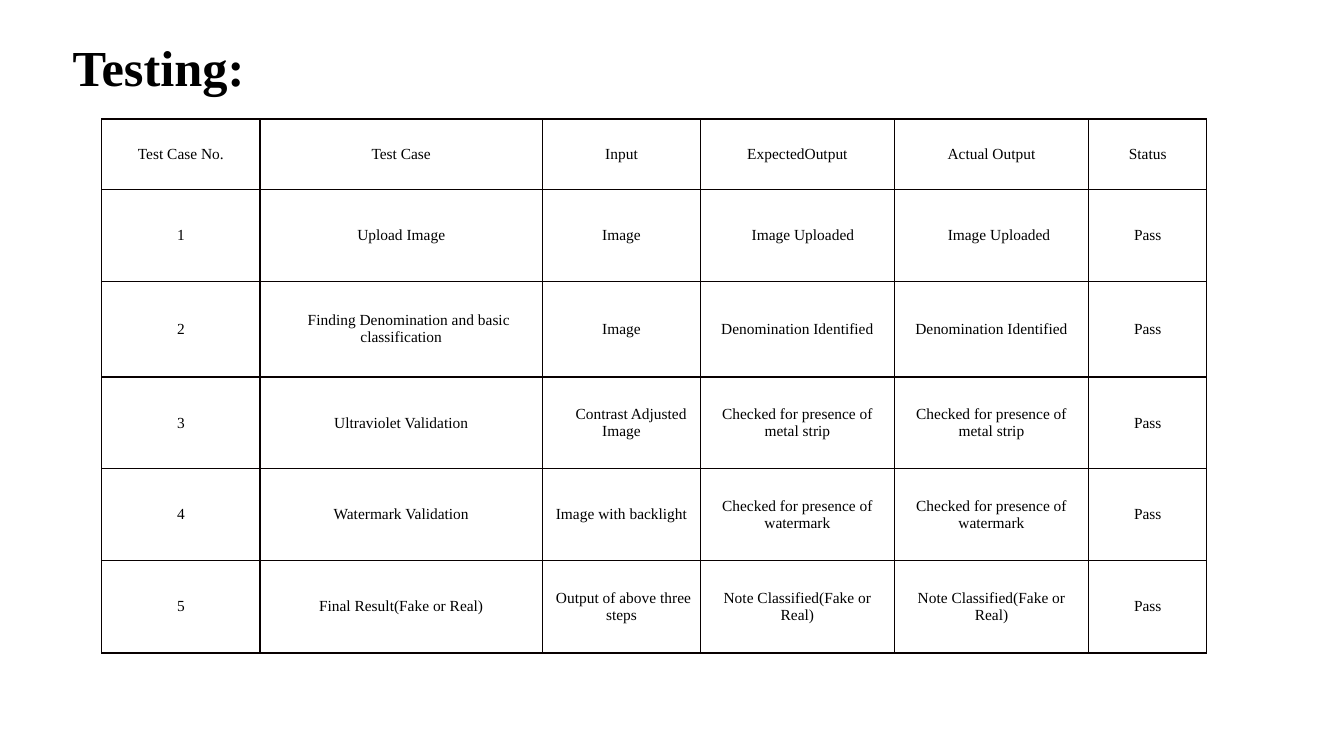
from lxml.etree import SubElement
from pptx import Presentation
from pptx.dml.color import RGBColor
from pptx.enum.text import MSO_ANCHOR, MSO_AUTO_SIZE, PP_ALIGN
from pptx.oxml.ns import qn
from pptx.util import Inches, Pt

BLACK = RGBColor(0, 0, 0)
EDGE = RGBColor(8, 0, 0)
FONT = "Times New Roman"
COLS = (1.57, 2.8, 1.57, 1.92, 1.93, 1.17)
ROWS = (0.7, 0.91, 0.95, 0.91, 0.91, 0.92)
HEADS = ("Test Case No.", "Test Case", "Input", "ExpectedOutput", "Actual Output", "Status")
METAL = "Checked for presence of metal strip"
WATER = "Checked for presence of watermark"
NOTE = "Note Classified(Fake or Real)"
CASES = (
    ("Upload Image", "Image", "Image Uploaded", "Image Uploaded"),
    ("Finding Denomination and basic classification", "Image",
     "Denomination Identified", "Denomination Identified"),
    ("Ultraviolet Validation", "Contrast Adjusted Image", METAL, METAL),
    ("Watermark Validation", "Image with backlight", WATER, WATER),
    ("Final Result(Fake or Real)", "Output of above three steps", NOTE, NOTE),
)
INDENTS = {(1, 3): 0.11, (1, 4): 0.15, (2, 1): 0.15, (3, 2): 0.19, (5, 2): 0.04}


def style(para, size, align, bold=False):
    para.alignment = align
    font = para.font
    font.name = FONT
    font.size = Pt(size)
    font.bold = bold
    font.color.rgb = BLACK


def add_title(slide, left, top, width, height):
    title = slide.shapes.title
    title.left, title.top = Inches(left), Inches(top)
    title.width, title.height = Inches(width), Inches(height)
    frame = title.text_frame
    frame.text = "Testing:"
    frame.auto_size = MSO_AUTO_SIZE.NONE
    frame.vertical_anchor = MSO_ANCHOR.MIDDLE
    style(frame.paragraphs[0], 36, PP_ALIGN.LEFT, True)


def add_edges(cell):
    props = cell._tc.get_or_add_tcPr()
    for spot, side in enumerate(("a:lnL", "a:lnR", "a:lnT", "a:lnB")):
        line = props.makeelement(qn(side), {"w": str(Pt(1))})
        fill = SubElement(line, qn("a:solidFill"))
        SubElement(fill, qn("a:srgbClr"), val=str(EDGE))
        props.insert(spot, line)


def fill_cell(cell, text, indent):
    cell.text = text
    cell.vertical_anchor = MSO_ANCHOR.MIDDLE
    cell.margin_left = cell.margin_right = Inches(0.07)
    cell.margin_top = cell.margin_bottom = 0
    cell.fill.background()
    para = cell.text_frame.paragraphs[0]
    style(para, 11, PP_ALIGN.CENTER)
    if indent:
        para._p.get_or_add_pPr().set("indent", str(Inches(indent)))
    add_edges(cell)


def add_cases(slide, left, top, width, height):
    box = [Inches(size) for size in (left, top, width, height)]
    table = slide.shapes.add_table(len(ROWS), len(COLS), *box).table
    table.first_row = table.horz_banding = False
    for col, share in zip(table.columns, COLS):
        col.width = Inches(width * share / sum(COLS))
    for row, share in zip(table.rows, ROWS):
        row.height = Inches(height * share / sum(ROWS))
    body = [(str(num), *case, "Pass") for num, case in enumerate(CASES, 1)]
    for row, texts in enumerate([HEADS, *body]):
        for col, text in enumerate(texts):
            fill_cell(table.cell(row, col), text, INDENTS.get((row, col)))


def main():
    deck = Presentation()
    deck.slide_width, deck.slide_height = Inches(13.33), Inches(7.5)
    slide = deck.slides.add_slide(deck.slide_layouts[5])
    add_title(slide, 0.62, 0.34, 12, 0.64)
    add_cases(slide, 1.01, 1.18, 10.96, 5.3)
    deck.save("out.pptx")


if __name__ == "__main__":
    main()
